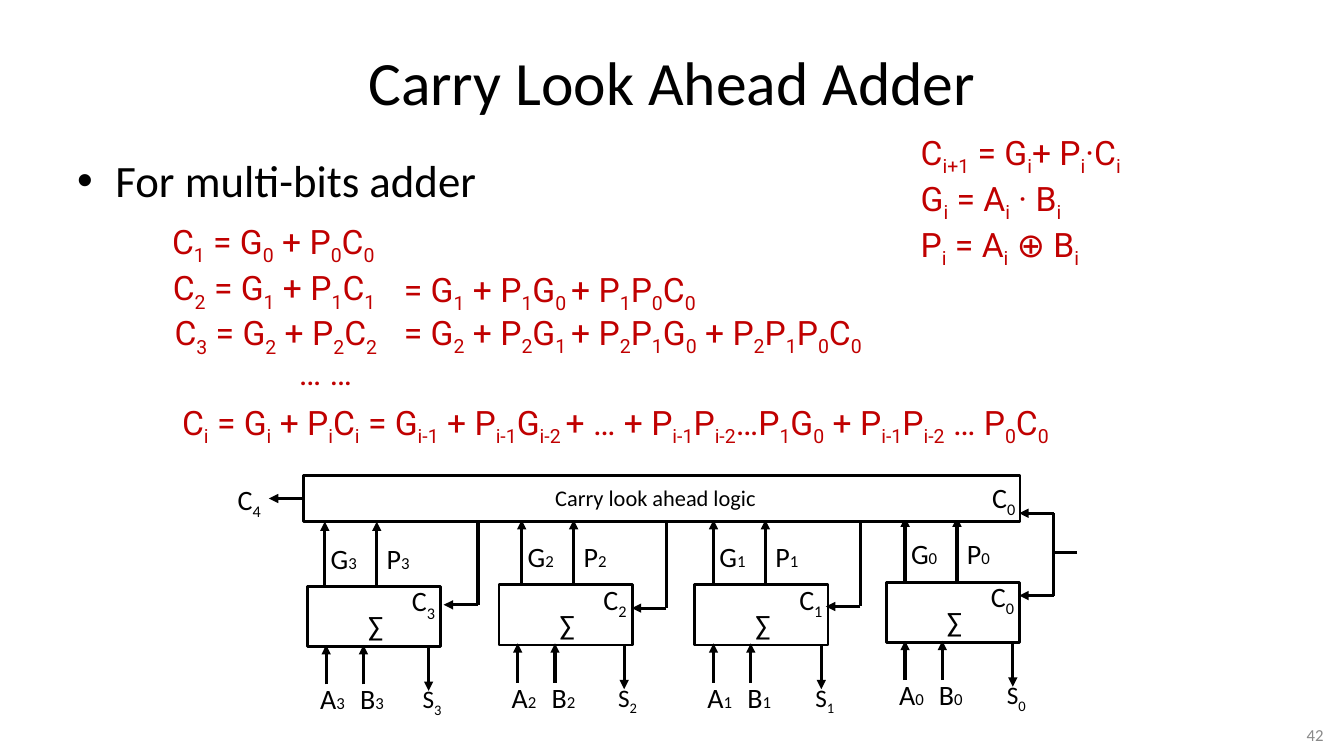
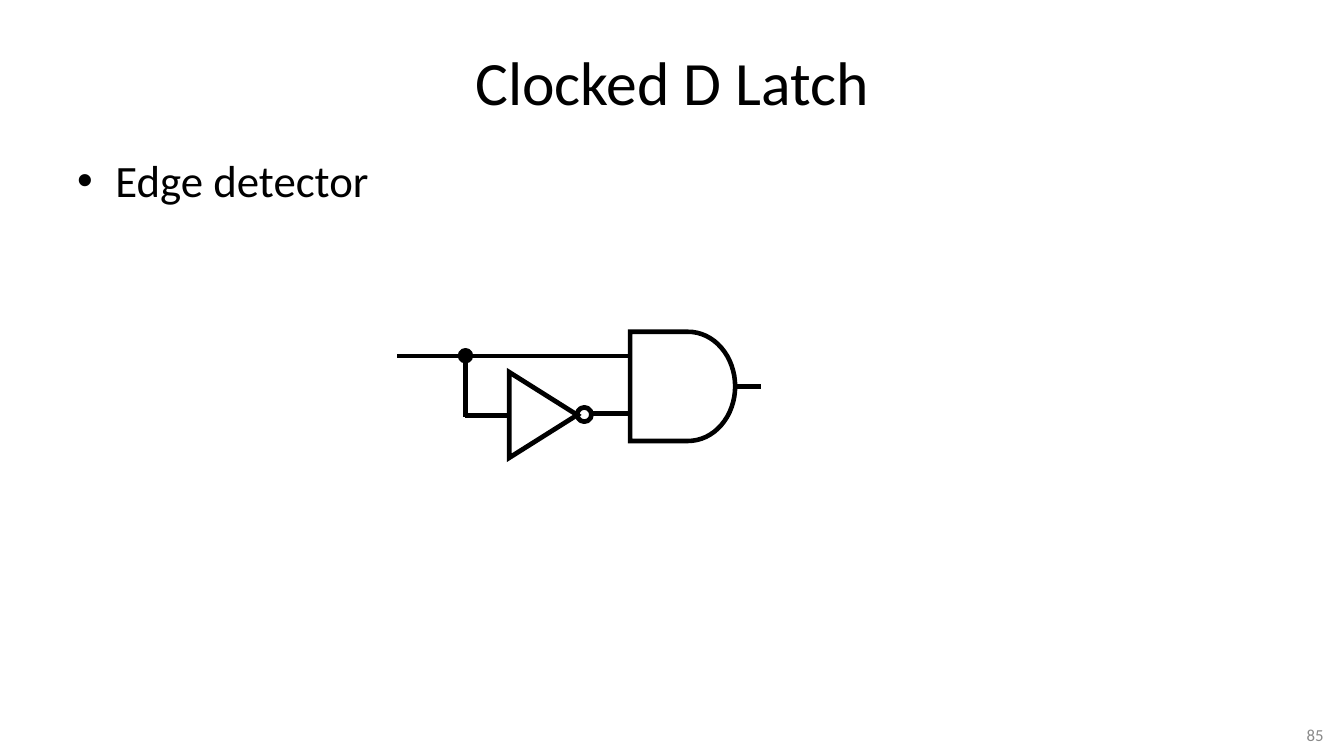
from math import cos, pi, sin

from lxml import etree
from pptx import Presentation
from pptx.dml.color import RGBColor
from pptx.enum.shapes import MSO_CONNECTOR as Link, MSO_SHAPE as Preset
from pptx.enum.text import MSO_ANCHOR as Anchor, PP_ALIGN as Align
from pptx.oxml.ns import qn
from pptx.util import Inches, Pt

BLACK = RGBColor(0x00, 0x00, 0x00)
WHITE = RGBColor(0xFF, 0xFF, 0xFF)
RED = RGBColor(0xC0, 0x00, 0x00)
GREY = RGBColor(0x89, 0x89, 0x89)

# Square grid: 160 columns by 90 rows over the whole slide
SLIDE_W, SLIDE_H = Inches(13.33), Inches(7.5)
CELL = SLIDE_H / 90

TITLE_BOX = (8, 3.6, 144, 12.1)
BODY_BOX = (8, 17.6, 144, 66.1)
NUMBER_BOX = (141.5, 85.7, 17.2, 3.5)
BUS_BOX = (36.1, 56.6, 85.3, 5.5)
STAGE_W, STAGE_H = 15.84, 7.2


def grid(*cells):
    return [round(cell * CELL) for cell in cells]


def add_bullet(paragraph):
    props = paragraph._p.get_or_add_pPr()
    props.set("marL", str(Inches(0.38)))
    props.set("indent", str(-Inches(0.38)))
    etree.SubElement(props, qn("a:buFont")).set("typeface", "Arial")
    etree.SubElement(props, qn("a:buChar")).set("char", "•")


def add_text(slide, box, *lines, size=20, font="Calibri", color=BLACK, align=Align.LEFT,
             anchor=Anchor.TOP, bullet=False, small=None):
    """Braces hold indices: subscripts, or runs of the size given by small."""
    frame = slide.shapes.add_textbox(*grid(*box)).text_frame
    frame.word_wrap = True
    frame.vertical_anchor = anchor
    for number, line in enumerate(lines):
        paragraph = frame.add_paragraph() if number else frame.paragraphs[0]
        paragraph.alignment = align
        if bullet:
            add_bullet(paragraph)
        for place, piece in enumerate(line.replace("}", "{").split("{")):
            if not piece:
                continue
            run = paragraph.add_run()
            run.text = piece
            run.font.name = font
            run.font.size = Pt(size)
            run.font.color.rgb = color
            if place % 2 and small:
                run.font.size = Pt(small)
            elif place % 2:
                run._r.get_or_add_rPr().set("baseline", "-25000")


def add_label(slide, point, text, **style):
    add_text(slide, (*point, 10, 5.3), text, **style)


def add_wire(slide, start, end, width=2.25, arrow=False):
    wire = slide.shapes.add_connector(Link.STRAIGHT, *grid(*start, *end))
    wire.line.color.rgb = BLACK
    wire.line.width = Pt(width)
    if arrow:
        etree.SubElement(wire.line._get_or_add_ln(), qn("a:tailEnd")).set("type", "triangle")
    etree.SubElement(wire._element.spPr, qn("a:effectLst"))


def paint(shape, width, fill=None):
    shape.shadow.inherit = False
    if fill is None:
        shape.fill.background()
    else:
        shape.fill.solid()
        shape.fill.fore_color.rgb = fill
    shape.line.color.rgb = BLACK
    shape.line.width = Pt(width)


def add_preset(slide, preset, box, width=2, fill=None):
    paint(slide.shapes.add_shape(preset, *grid(*box)), width, fill)


def add_outline(slide, points, width):
    corners = [grid(*point) for point in points]
    pen = slide.shapes.build_freeform(*corners[0])
    pen.add_line_segments(corners[1:], close=True)
    outline = pen.convert_to_shape()
    paint(outline, width)
    etree.SubElement(outline.line._get_or_add_ln(), qn("a:miter")).set("lim", "800000")


def add_page(deck, title, point, number):
    slide = deck.slides.add_slide(deck.slide_layouts[6])
    add_text(slide, TITLE_BOX, title, size=44, align=Align.CENTER, anchor=Anchor.MIDDLE)
    add_text(slide, BODY_BOX, point, size=32, bullet=True)
    add_text(slide, NUMBER_BOX, str(number), size=12, color=GREY,
             align=Align.RIGHT, anchor=Anchor.MIDDLE)
    return slide


def add_equations(slide):
    equations = [
        (19.3, 25.7, ["C{1} = G{0} + P{0}C{0}"]),
        (19.4, 31.2, ["C{2} = G{1} + P{1}C{1}"]),
        (19.6, 36.6, ["C{3} = G{2} + P{2}C{2}"]),
        (46.9, 31.4, ["= G{1} + P{1}G{0 }+ P{1}P{0}C{0}"]),
        (46.9, 36.5, ["= G{2} + P{2}G{1 }+ P{2}P{1}G{0} + P{2}P{1}P{0}C{0}"]),
        (34.4, 41.3, ["… …"]),
        (20.5, 47.2, ["C{i} = G{i} + P{i}C{i} = G{i-1} + P{i-1}G{i-2 }+ … + "
                      "P{i-1}P{i-2}…P{1}G{0} + P{i-1}P{i-2} … P{0}C{0}"]),
        (108.4, 15.1, ["C{i+1} = G{i}+ P{i}·C{i}", "G{i} = A{i} · B{i}", "P{i} = A{i} ⊕ B{i}"]),
    ]
    for left, top, lines in equations:
        width = 119 if left < 30 else 72
        add_text(slide, (left, top, min(width, 156 - left), 6 * len(lines)), *lines,
                 size=24, font="Roboto", color=RED)


def add_stage(slide, bit, left, top, pin, total):
    """One full adder; pin and total are the shares of its width at G and S."""
    def at(across, down):
        return left + across * STAGE_W, top + down * STAGE_H

    add_preset(slide, Preset.RECTANGLE, (left, top, STAGE_W, STAGE_H), fill=WHITE)
    add_label(slide, at(0.38, 0.29), "∑")
    add_label(slide, at(0.71, -0.12), f"C{{{bit}}}")
    # Operands below
    for name, label_x, wire_x in (("A", 0.02, 0.14), ("B", 0.32, 0.42)):
        add_label(slide, at(label_x, 1.5), f"{name}{{{bit}}}", small=12)
        add_wire(slide, at(wire_x, 1.62), at(wire_x, 0.97), arrow=True)
    # Generate and propagate above
    for name, wire_x, shift in (("G", pin, -0.03), ("P", pin + 0.39, 0)):
        add_label(slide, at(wire_x + shift, -0.83), f"{name}{{{bit}}}", small=12)
        add_wire(slide, at(wire_x, 0), at(wire_x, -1.07), arrow=True)
    # Sum output
    add_label(slide, at(total - 0.12, 1.53), f"S{{{bit}}}", size=18)
    add_wire(slide, at(total, 1), at(total, 1.73), arrow=True)


def add_carry(slide, x, start_y, end_y):
    add_wire(slide, (x, start_y), (x, end_y))
    add_wire(slide, (x, end_y), (x - 4.1, end_y), arrow=True)


def add_bus(slide, left, top, width, height):
    add_preset(slide, Preset.RECTANGLE, (left, top, width, height), fill=WHITE)
    add_text(slide, (left + 28.8, top + 0.5, 32, 4.4), "Carry look ahead logic", size=16)
    add_label(slide, (left + 80.8, top), "C{0}")
    # Carry out
    add_label(slide, (left - 9, top + 0.2), "C{4}")
    middle = top + height / 2
    add_wire(slide, (left, middle), (left - 4.1, middle), arrow=True)


def add_adder(slide):
    # bit, left, top, G pin, S pin, carry column, carry row
    stages = [
        (3, 36.6, 69.8, 0.13, 0.91, 56.9, 72),
        (2, 59.4, 69.6, 0.17, 0.94, 79.3, 72.4),
        (1, 82.7, 69.6, 0.14, 0.95, 102.4, 72.2),
        (0, 105.5, 69.3, 0.14, 0.95, 125.4, 70.9),
    ]
    for *stage, _, _ in stages:
        add_stage(slide, *stage)
    add_bus(slide, *BUS_BOX)
    bus_bottom = BUS_BOX[1] + BUS_BOX[3]
    for bit, *_, column, row in stages:
        add_carry(slide, column, bus_bottom if bit else 61.1, row)
    # Carry in, shared by the bus and bit 0
    add_wire(slide, (125.4, 61.1), (121.3, 61.1), arrow=True)
    add_wire(slide, (128.2, 65.8), (125.4, 65.8))


def add_edge_detector(slide, left, top):
    def at(across, down):
        return left + across, top + down

    # Wires
    wires = [
        (0, 2.9, 27.7, 2.9),
        (8.1, 2.9, 8.1, 10.2),
        (8, 10, 13.3, 10),
        (23.2, 9.7, 27.7, 9.7),
        (40.2, 6.5, 43.3, 6.5),
    ]
    for x1, y1, x2, y2 in wires:
        add_wire(slide, at(x1, y1), at(x2, y2), width=3.25)
    add_preset(slide, Preset.FLOWCHART_CONNECTOR, (*at(7.35, 2.1), 1.5, 1.5), fill=BLACK)
    # Inverter
    add_outline(slide, [at(13.3, 4.8), at(21.4, 9.9), at(13.3, 15)], 3.4)
    add_preset(slide, Preset.OVAL, (*at(21.4, 9), 1.7, 1.7), width=3.4)
    # AND gate
    steps = 32
    angles = [pi * step / steps - pi / 2 for step in range(steps + 1)]
    arc = [at(34.6 + 5.6 * cos(angle), 6.5 + 6.5 * sin(angle)) for angle in angles]
    add_outline(slide, [at(27.7, 0), *arc, at(27.7, 13)], 3.25)


def main():
    deck = Presentation()
    deck.slide_width, deck.slide_height = SLIDE_W, SLIDE_H
    adder = add_page(deck, "Carry Look Ahead Adder", "For multi-bits adder", 42)
    add_equations(adder)
    add_adder(adder)
    latch = add_page(deck, "Clocked D Latch", "Edge detector", 85)
    add_edge_detector(latch, 47.3, 39.5)
    deck.save("out.pptx")


if __name__ == "__main__":
    main()
